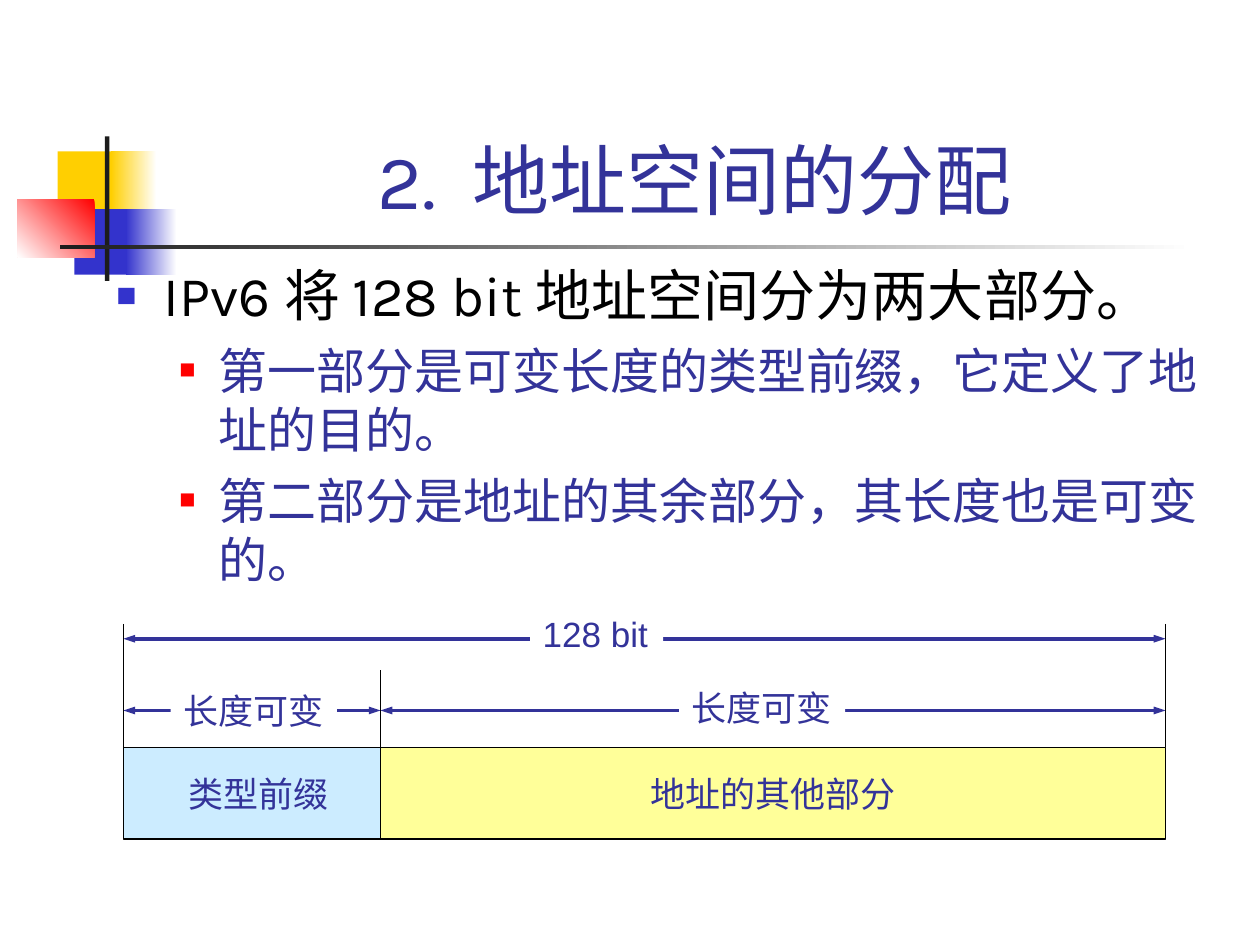
from lxml import etree
from pptx import Presentation
from pptx.dml.color import RGBColor
from pptx.enum.shapes import MSO_CONNECTOR, MSO_SHAPE
from pptx.enum.text import MSO_ANCHOR, MSO_AUTO_SIZE, PP_ALIGN
from pptx.oxml.ns import qn
from pptx.util import Pt

RECTANGLE = MSO_SHAPE.RECTANGLE
STRAIGHT = MSO_CONNECTOR.STRAIGHT
MIDDLE, BOTTOM = MSO_ANCHOR.MIDDLE, MSO_ANCHOR.BOTTOM
CENTER, LEFT = PP_ALIGN.CENTER, PP_ALIGN.LEFT
FIT_SHAPE = MSO_AUTO_SIZE.SHAPE_TO_FIT_TEXT

BLACK, WHITE, INK = "000000", "FFFFFF", "333399"
BLUE, RED, YELLOW, DARK = "3333CC", "FF0000", "FFCF01", "1C1C1C"

# Edges of the address diagram
FIELD_START, FIELD_SPLIT, FIELD_END = 70.5, 217.5, 666
FIELD_TOP, FIELD_HEIGHT = 427, 52.5
TOTAL_Y, PARTS_Y = 365, 406

TITLE = {"size": Pt(44), "name": "Karla"}
LABEL = {"size": Pt(20), "name": "Arial"}
LEVELS = [
    {"font": {"size": Pt(32), "name": "Karla"}, "color": BLACK,
     "margin": 27, "hanging": 27, "bullet": BLUE, "percent": 60, "before": 0},
    {"font": {"size": Pt(28), "name": "Karla"}, "color": INK,
     "margin": 58.5, "hanging": 22.5, "bullet": RED, "percent": 55, "before": 7},
]


def rgb(value):
    return RGBColor.from_string(value)


def add_element(parent, tag, **attributes):
    return etree.SubElement(parent, qn(tag), attributes)


def style_font(font, values, color):
    for name, value in values.items():
        setattr(font, name, value)
    font.color.rgb = rgb(color)


def write_text(para, text, values, color, align=LEFT):
    span = para.add_run()
    span.text = text
    style_font(span.font, values, color)
    para.alignment = align


def add_rectangle(page, bounds):
    box = page.shapes.add_shape(RECTANGLE, *map(Pt, bounds))
    box.shadow.inherit = False
    box.line.fill.background()
    return box


def add_solid(page, bounds, color):
    box = add_rectangle(page, bounds)
    box.fill.solid()
    box.fill.fore_color.rgb = rgb(color)
    return box


def add_gradient(page, bounds, start, end, angle=180):
    """Add a borderless rectangle; angle runs counter-clockwise."""
    box = add_rectangle(page, bounds)
    box.fill.gradient()
    box.fill.gradient_angle = angle
    for stop, color in zip(box.fill.gradient_stops, (start, end)):
        stop.color.rgb = rgb(color)


def add_line(page, start, end, color, width, arrows=False):
    line = page.shapes.add_connector(STRAIGHT, *map(Pt, (*start, *end)))
    line.line.color.rgb = rgb(color)
    line.line.width = Pt(width)
    if arrows:
        outline = line.line._get_or_add_ln()
        for tag in ("a:headEnd", "a:tailEnd"):
            add_element(outline, tag, type="triangle", w="sm", len="med")
    add_element(line._element.spPr, "a:effectLst")


def add_field(page, left, width, text, color):
    box = add_solid(page, (left, FIELD_TOP, width, FIELD_HEIGHT), color)
    box.line.color.rgb = rgb(BLACK)
    box.line.width = Pt(0.75)
    box.text_frame.word_wrap = False
    box.text_frame.vertical_anchor = MIDDLE
    write_text(box.text_frame.paragraphs[0], text, LABEL, INK, CENTER)


def add_label(page, bounds, text):
    """Add a white label that interrupts the arrow behind it."""
    box = page.shapes.add_textbox(*map(Pt, bounds))
    box.fill.solid()
    box.fill.fore_color.rgb = rgb(WHITE)
    box.text_frame.word_wrap = False
    box.text_frame.auto_size = FIT_SHAPE
    write_text(box.text_frame.paragraphs[0], text, LABEL, INK)


def add_bullet(para, level):
    properties = para._p.get_or_add_pPr()
    properties.set("marL", str(Pt(level["margin"])))
    properties.set("indent", str(-Pt(level["hanging"])))
    color = add_element(properties, "a:buClr")
    add_element(color, "a:srgbClr", val=level["bullet"])
    add_element(properties, "a:buSzPct", val=str(level["percent"] * 1000))
    add_element(properties, "a:buFont", typeface="Arial")
    add_element(properties, "a:buChar", char="■")


def add_title(page, text):
    box = page.shapes.add_textbox(Pt(90.5), Pt(16.5), Pt(613.5), Pt(115.5))
    box.text_frame.word_wrap = True
    box.text_frame.vertical_anchor = BOTTOM
    write_text(box.text_frame.paragraphs[0], text, TITLE, INK, CENTER)


def add_body(page, items):
    box = page.shapes.add_textbox(Pt(59.5), Pt(145.5), Pt(634.5), Pt(215))
    frame = box.text_frame
    frame.word_wrap = True
    for index, (depth, text) in enumerate(items):
        para = frame.add_paragraph() if index else frame.paragraphs[0]
        level = LEVELS[depth]
        para.level = depth
        add_bullet(para, level)
        para.space_before = Pt(level["before"])
        write_text(para, text, level["font"], level["color"])


def add_ornament(page):
    add_solid(page, (33, 86.5, 34.5, 37.5), YELLOW)
    add_gradient(page, (63.5, 86.5, 26, 37.5), WHITE, YELLOW)
    add_solid(page, (42.5, 119.5, 33, 37.5), BLUE)
    add_gradient(page, (72, 119.5, 29, 37.5), WHITE, BLUE)
    add_gradient(page, (10, 114, 44, 33), RED, WHITE, 225)
    add_solid(page, (60, 78, 2.5, 82.5), DARK)
    add_gradient(page, (34.5, 140, 648, 2.5), WHITE, DARK)


def add_diagram(page):
    add_field(page, FIELD_START, 155, "类型前缀", "CCECFF")
    add_field(page, FIELD_SPLIT, FIELD_END - FIELD_SPLIT, "地址的其他部分", "FFFF99")
    for left, right, y in ((FIELD_START, FIELD_SPLIT, PARTS_Y),
                           (FIELD_SPLIT, FIELD_END, PARTS_Y),
                           (FIELD_START, FIELD_END, TOTAL_Y)):
        add_line(page, (left, y), (right, y), INK, 2.25, arrows=True)
    for x, top in ((FIELD_START, 356.5), (FIELD_END, 356.5), (FIELD_SPLIT, 383)):
        add_line(page, (x, top), (x, FIELD_TOP), BLACK, 0.75)
    add_label(page, (97.5, 390.5, 95, 31.5), "长度可变")
    add_label(page, (388, 389, 95, 31.5), "长度可变")
    add_label(page, (303, 346.5, 76, 31.5), "128 bit")


def main():
    deck = Presentation()
    deck.slide_width, deck.slide_height = Pt(720), Pt(540)
    page = deck.slides.add_slide(deck.slide_layouts[6])
    add_ornament(page)
    add_title(page, "2.  地址空间的分配")
    add_body(page, [
        (0, "IPv6 将 128 bit 地址空间分为两大部分。"),
        (1, "第一部分是可变长度的类型前缀，它定义了地址的目的。"),
        (1, "第二部分是地址的其余部分，其长度也是可变的。"),
    ])
    add_diagram(page)
    deck.save("out.pptx")


if __name__ == "__main__":
    main()
